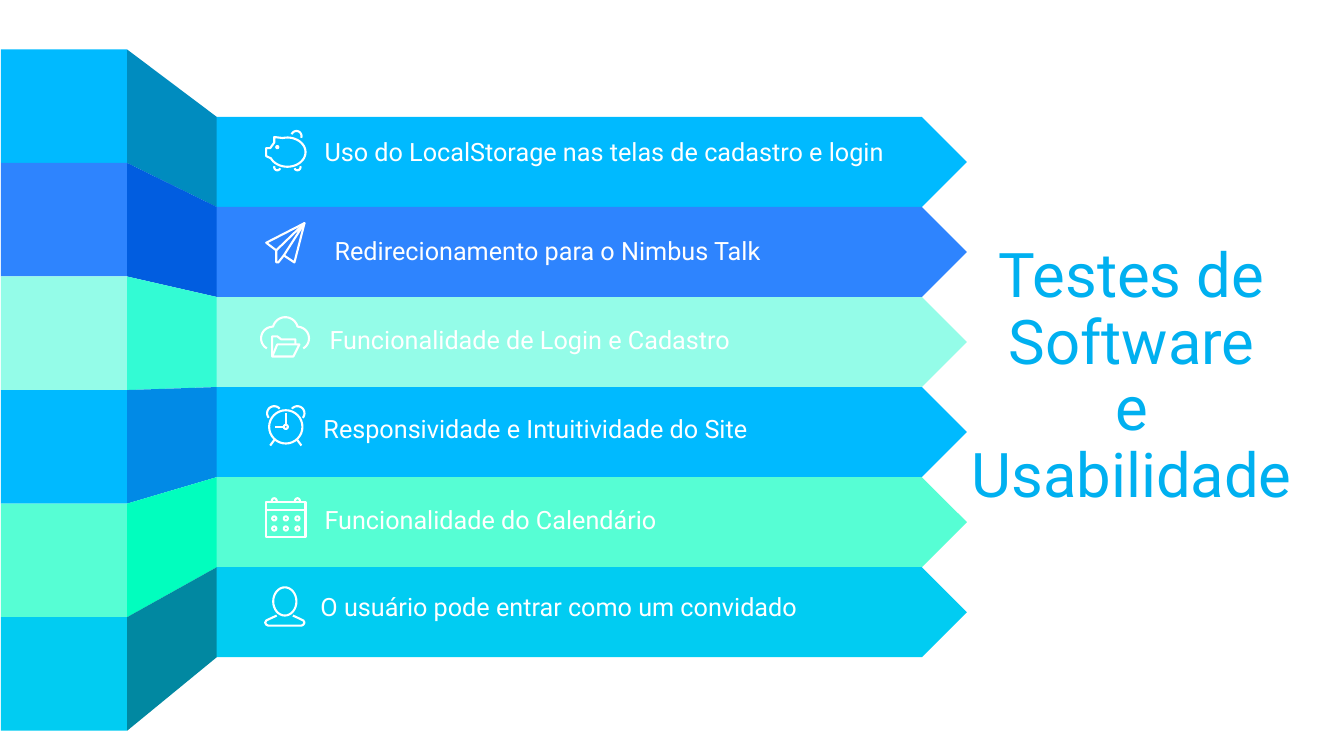
from dataclasses import dataclass
from math import cos, radians, sin

from pptx import Presentation
from pptx.dml.color import RGBColor
from pptx.enum.shapes import MSO_SHAPE
from pptx.enum.text import MSO_ANCHOR, PP_ALIGN
from pptx.util import Inches, Pt


@dataclass(frozen=True)
class Theme:
    """Colours and type sizes of the slide."""
    font: str = "Roboto"
    head: str = "00B0F0"
    white: str = "FFFFFF"
    sky: str = "00BAFF"
    blue: str = "2E84FE"
    mint: str = "94FCE8"
    green: str = "56FED4"
    cyan: str = "01CCF2"
    big: int = 44
    small: int = 18
    stroke: float = 1.5


@dataclass(frozen=True)
class Box:
    """A region in inches."""
    left: float
    top: float
    width: float
    height: float

    def row(self, i, count):
        """Return one of several equal rows."""
        high = self.height / count
        return Box(self.left, self.top + i * high, self.width, high)

    def emu(self):
        """Return the four lengths for a shape call."""
        return [Inches(n) for n in (self.left, self.top, self.width, self.height)]


@dataclass(frozen=True)
class Item:
    """One band: its words, colours, offsets within the bar and icon."""
    words: str
    fill: str
    shade: str
    text: tuple
    spot: tuple
    icon: list


T = Theme()
WIDE, HIGH = 13.33, 7.5
TILES = Box(0.01, 0.49, 1.25, 6.76)
BARS = Box(2.15, 1.16, 7.44, 5.36)
TITLE = Box(9.29, 0.9, 3.87, 5.69)


def arc(x, y, wide, high, start=0, end=360):
    """Return points along an elliptic arc, clockwise in degrees."""
    turns = [radians(start + (end - start) * k / 32) for k in range(33)]
    return [(x + wide * cos(a), y + high * sin(a)) for a in turns]


PIG = [
    arc(22, 22, 18, 14.5, -105, 155)
    + [(1, 26), (1, 18), (5, 18), (9, 12.5), (9, 7), (17.3, 8)],
    arc(12, 17, 1, 1), arc(31, 6, 5, 5, 200, 380),
    arc(12, 37, 3, 3, 20, 200), arc(32, 37, 3, 3, -20, 160),
]
PLANE = [
    [(39, 1), (1, 20.5), (11, 28), (11, 40), (13, 40), (18.5, 33),
     (29, 40), (39, 1)],
    [(11, 28), (39, 1), (18.5, 33)],
]
CLOUD = [
    arc(12.5, 22, 11.5, 11.5, 120, 260) + arc(25, 13.5, 12.5, 12.5, 195, 345)
    + arc(37, 22, 11.5, 11.5, 280, 420),
    [(12, 40), (12, 20), (17, 20), (21, 23), (35, 23), (35, 28)],
    [(12, 40), (17, 28), (39, 28), (33, 40), (12, 40)],
]
CLOCK = [
    arc(20.5, 21.5, 16.5, 16.5), arc(20.5, 21.5, 2, 2),
    arc(9, 8, 7, 7, 140, 320), arc(32, 8, 7, 7, 220, 400),
    [(20.5, 8), (20.5, 19)], [(10, 21.5), (18, 21.5)],
    [(9.5, 34), (5, 40)], [(31.5, 34), (36, 40)],
]
DATES = [
    [(1, 5), (40, 5), (40, 39), (1, 39), (1, 5)], [(1, 13), (40, 13)],
    *[arc(x, y, 2, 2) for y in (21, 31) for x in (9, 20.5, 32)],
    *[arc(x, 4, 2.5, 3, 180, 360) for x in (9, 32)],
]
USER = [
    arc(20.5, 15, 11.5, 14),
    [(12.5, 29), (6, 32), (2, 34), (1, 36), (2, 38), (4, 39), (37, 39),
     (39, 38), (40, 36), (39, 34), (35, 32), (28.5, 29)],
]

ITEMS = [
    Item("Uso do LocalStorage nas telas de cadastro e login",
         T.sky, "008CBF", (0.97, 0.18), (0.48, 0.13), PIG),
    Item("Redirecionamento para o Nimbus Talk",
         T.blue, "015DE0", (1.07, 0.27), (0.48, 0.15), PLANE),
    Item("Funcionalidade de Login e Cadastro",
         T.mint, "33FBD4", (1.02, 0.26), (0.43, 0.19), CLOUD),
    Item("Responsividade e Intuitividade do Site",
         T.sky, "018AE6", (0.96, 0.25), (0.48, 0.18), CLOCK),
    Item("Funcionalidade do Calendário",
         T.green, "01FEBE", (0.97, 0.26), (0.48, 0.2), DATES),
    Item("O usuário pode entrar como um convidado",
         T.cyan, "0188A1", (0.93, 0.23), (0.47, 0.19), USER),
]


def write(frame, words, size=T.small, tone=T.white, align=PP_ALIGN.LEFT,
          anchor=MSO_ANCHOR.BOTTOM, space=1.0):
    """Fill a text frame with one styled paragraph."""
    frame.word_wrap = True
    frame.vertical_anchor = anchor
    para = frame.paragraphs[0]
    para.text = words
    para.alignment = align
    para.line_spacing = space
    for run in para.runs:
        run.font.name = T.font
        run.font.size = Pt(size)
        run.font.color.rgb = RGBColor.from_string(tone)


def paint(shape, fill=None, line=None):
    """Set the fill and line of a flat shape."""
    shape.shadow.inherit = False
    for part, tone in ((shape.fill, fill), (shape.line.fill, line)):
        if tone:
            part.solid()
            part.fore_color.rgb = RGBColor.from_string(tone)
        else:
            part.background()
    if line:
        shape.line.width = Pt(T.stroke)


def trace(slide, runs, close=False, **style):
    """Draw lists of points in inches as one outline."""
    paths = [[(Inches(x), Inches(y)) for x, y in run] for run in runs]
    pen = slide.shapes.build_freeform(*paths[0][0])
    for i, path in enumerate(paths):
        if i:
            pen.move_to(*path[0])
        pen.add_line_segments(path[1:], close=close)
    paint(pen.convert_to_shape(), **style)


def fold(slide, tile, bar, item):
    """Draw the shaded side that joins a tile to its bar."""
    edge = tile.left + tile.width
    trace(slide, [[(edge, tile.top), (bar.left, bar.top),
                   (bar.left, bar.top + bar.height),
                   (edge, tile.top + tile.height)]], close=True, fill=item.shade)


def block(slide, kind, box, fill):
    """Draw a plain filled preset shape."""
    paint(slide.shapes.add_shape(kind, *box.emu()), fill=fill)


def label(slide, bar, item):
    """Place the icon and words of one bar."""
    x, y = bar.left + item.spot[0], bar.top + item.spot[1]
    runs = [[(x + a / 100, y + b / 100) for a, b in run] for run in item.icon]
    trace(slide, runs, line=T.white)
    box = Box(bar.left + item.text[0], bar.top + item.text[1], 6.18, 0.36)
    write(slide.shapes.add_textbox(*box.emu()).text_frame, item.words)


def title(slide, box):
    """Move and fill the title."""
    head = slide.shapes.title
    head.left, head.top, head.width, head.height = box.emu()
    write(head.text_frame, "Testes de Software\ne\nUsabilidade", size=T.big,
          tone=T.head, align=PP_ALIGN.CENTER, anchor=MSO_ANCHOR.MIDDLE, space=0.9)


def main():
    """Build and save the slide."""
    deck = Presentation()
    deck.slide_width, deck.slide_height = Inches(WIDE), Inches(HIGH)
    slide = deck.slides.add_slide(deck.slide_layouts[5])
    title(slide, TITLE)
    for i, item in enumerate(ITEMS):
        tile, bar = TILES.row(i, len(ITEMS)), BARS.row(i, len(ITEMS))
        fold(slide, tile, bar, item)
        block(slide, MSO_SHAPE.PENTAGON, bar, item.fill)
        block(slide, MSO_SHAPE.RECTANGLE, tile, item.fill)
        label(slide, bar, item)
    deck.save("out.pptx")


if __name__ == "__main__":
    main()
